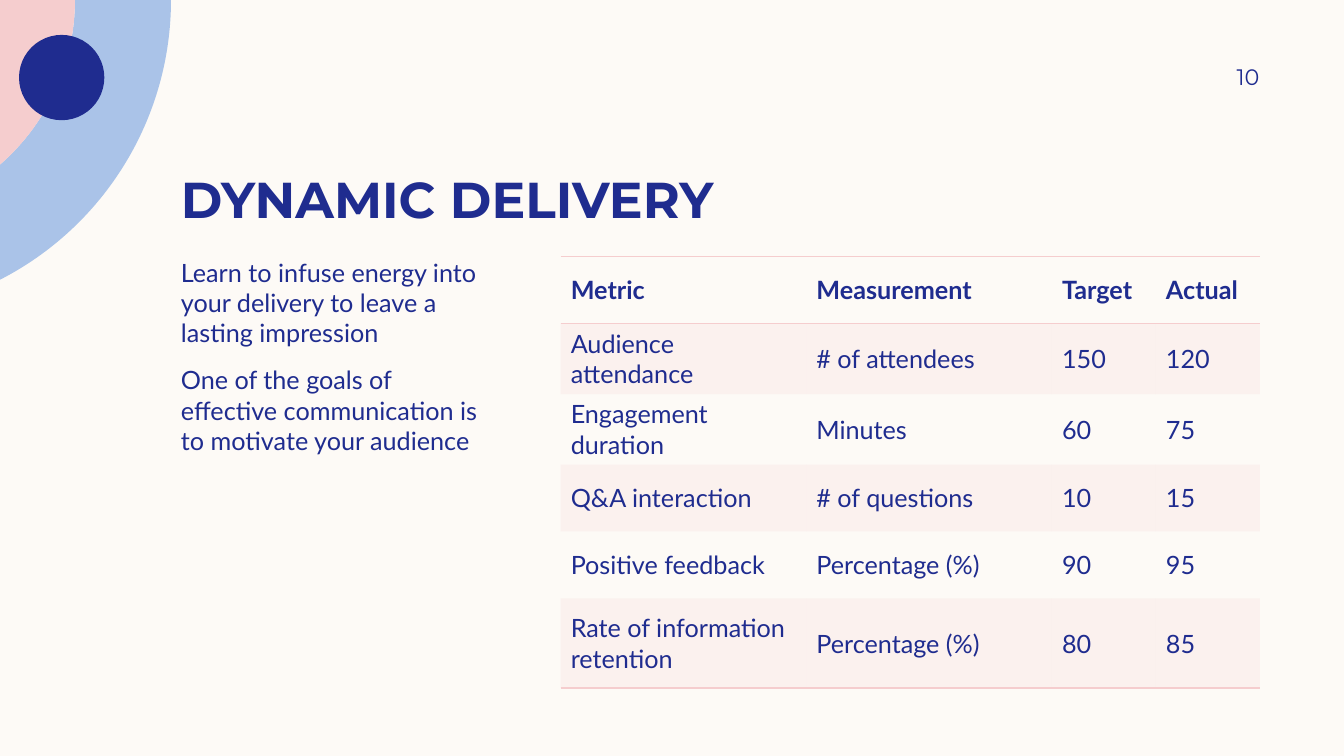
"""Build the "Dynamic delivery" slide with its metrics table."""
from math import acos, cos, sin, tan

from lxml import etree
from pptx import Presentation
from pptx.dml.color import RGBColor
from pptx.enum.shapes import MSO_SHAPE
from pptx.enum.text import MSO_ANCHOR, MSO_AUTO_SIZE, PP_ALIGN
from pptx.oxml import parse_xml
from pptx.oxml.ns import nsdecls, qn
from pptx.util import Cm, Pt

COLORS = {"cream": "FDFAF6", "navy": "1F2C8F", "blue": "AAC3E8", "pink": "F5CDCE"}


def add_run(p, text, size, font="Lato", bold=False):
    r = p.add_run()
    r.text = text
    r.font.size = Pt(size)
    r.font.name = font
    r.font.bold = bold
    r.font.color.rgb = RGBColor.from_string(COLORS["navy"])


def paint(sp, color):
    sp.fill.solid()
    sp.fill.fore_color.rgb = RGBColor.from_string(COLORS[color])
    sp.line.fill.background()
    sp.shadow.inherit = False


prs = Presentation()
prs.slide_width, prs.slide_height = Cm(33.87), Cm(19.05)
s = prs.slides.add_slide(prs.slide_layouts[1])
s.background.fill.solid()
s.background.fill.fore_color.rgb = RGBColor.from_string(COLORS["cream"])

center_x = -3.61
arcs = []
for radius in (7.92, 5.5):
    sweep = acos(-center_x / radius)
    reach = radius * 4 / 3 * tan(sweep / 4)
    end_x, end_y = center_x + radius * cos(sweep), radius * sin(sweep)
    curve = (
        (center_x + radius, 0),
        (center_x + radius, reach),
        (end_x + reach * sin(sweep), end_y - reach * cos(sweep)),
        (end_x, end_y),
    )
    arcs.append([(Cm(x), Cm(y)) for x, y in curve])
outer, inner = arcs
for color, points in (("blue", outer + inner[::-1]), ("pink", inner + [(0, 0)])):
    builder = s.shapes.build_freeform(*points[0], scale=1.0)
    builder.add_line_segments(points[1:], close=True)
    sp = builder.convert_to_shape()
    paint(sp, color)
    lines = list(sp._element.iter(qn("a:lnTo")))
    for start in range(0, len(lines), 4):
        bezier = etree.Element(qn("a:cubicBezTo"))
        lines[start].addprevious(bezier)
        for line in lines[start:start + 3]:
            bezier.append(line[0])
            line.getparent().remove(line)
dot = s.shapes.add_shape(MSO_SHAPE.OVAL, Cm(0.48), Cm(0.88), Cm(2.15), Cm(2.15))
paint(dot, "navy")

title, body = s.shapes.title, s.placeholders[1]
boxes = (
    (title, (4.31, 3.04, 27.43, 2.72), MSO_ANCHOR.BOTTOM),
    (body, (4.31, 6.48, 8.26, 10.29), MSO_ANCHOR.TOP),
)
for sp, box, anchor in boxes:
    sp.left, sp.top, sp.width, sp.height = [Cm(v) for v in box]
    tf = sp.text_frame
    tf.word_wrap = True
    tf.auto_size = MSO_AUTO_SIZE.NONE
    tf.vertical_anchor = anchor
    tf.margin_left = tf.margin_right = Cm(0.25)
    tf.margin_top = tf.margin_bottom = 0

p = title.text_frame.paragraphs[0]
p.alignment = PP_ALIGN.LEFT
add_run(p, "DYNAMIC DELIVERY", 36, "Montserrat", True)

goals = (
    "Learn to infuse energy into your delivery to leave a lasting impression",
    "One of the goals of effective communication is to motivate your audience",
)
tf = body.text_frame
for i, goal in enumerate(goals):
    p = tf.add_paragraph() if i else tf.paragraphs[0]
    p.space_before, p.space_after = Pt(0), Pt(12)
    add_run(p, goal, 18)
    pPr = p._p.get_or_add_pPr()
    pPr.set("marL", "0")
    pPr.set("indent", "0")
    etree.SubElement(pPr, qn("a:buNone"))

rows = (
    ("Metric", "Measurement", "Target", "Actual"),
    ("Audience attendance", "# of attendees", "150", "120"),
    ("Engagement duration", "Minutes", "60", "75"),
    ("Q&A interaction", "# of questions", "10", "15"),
    ("Positive feedback", "Percentage (%)", "90", "95"),
    ("Rate of information retention", "Percentage (%)", "80", "85"),
)
col_widths = (6.19, 6.19, 2.62, 2.62)
row_heights = (1.68, 1.68, 1.78, 1.68, 1.69, 2.26)
table = s.shapes.add_table(
    len(rows), len(col_widths), Cm(14.13), Cm(6.47), Cm(sum(col_widths)), Cm(sum(row_heights))
).table
table.first_row = table.horz_banding = False
for col, width in zip(table.columns, col_widths):
    col.width = Cm(width)
for row, height in zip(table.rows, row_heights):
    row.height = Cm(height)

pink_line = f'<a:solidFill><a:srgbClr val="{COLORS["pink"]}"/></a:solidFill>'
last = len(rows) - 1
for i, row in enumerate(rows):
    ruled = {"lnT": i in (0, 1), "lnB": i in (0, last)}
    for j, text in enumerate(row):
        cell = table.cell(i, j)
        cell.vertical_anchor = MSO_ANCHOR.MIDDLE
        add_run(cell.text_frame.paragraphs[0], text, 18, bold=i == 0)
        tcPr = cell._tc.get_or_add_tcPr()
        if i % 2:
            cell.fill.solid()
            cell.fill.fore_color.rgb = RGBColor.from_string(COLORS["pink"])
            tint = tcPr.find(".//" + qn("a:srgbClr"))
            etree.SubElement(tint, qn("a:alpha"), val="20000")
        else:
            cell.fill.background()
        for k, side in enumerate(("lnL", "lnR", "lnT", "lnB")):
            line = pink_line if ruled.get(side) else "<a:noFill/>"
            xml = f'<a:{side} {nsdecls("a")} w="12700">{line}</a:{side}>'
            tcPr.insert(k, parse_xml(xml))

number = s.shapes.add_textbox(Cm(28.77), Cm(1.27), Cm(2.97), Cm(1.32))
tf = number.text_frame
tf.word_wrap = True
tf.vertical_anchor = MSO_ANCHOR.MIDDLE
tf.margin_right = 0
p = tf.paragraphs[0]
p.alignment = PP_ALIGN.RIGHT
add_run(p, "10", 16, "Montserrat")

prs.save("out.pptx")
